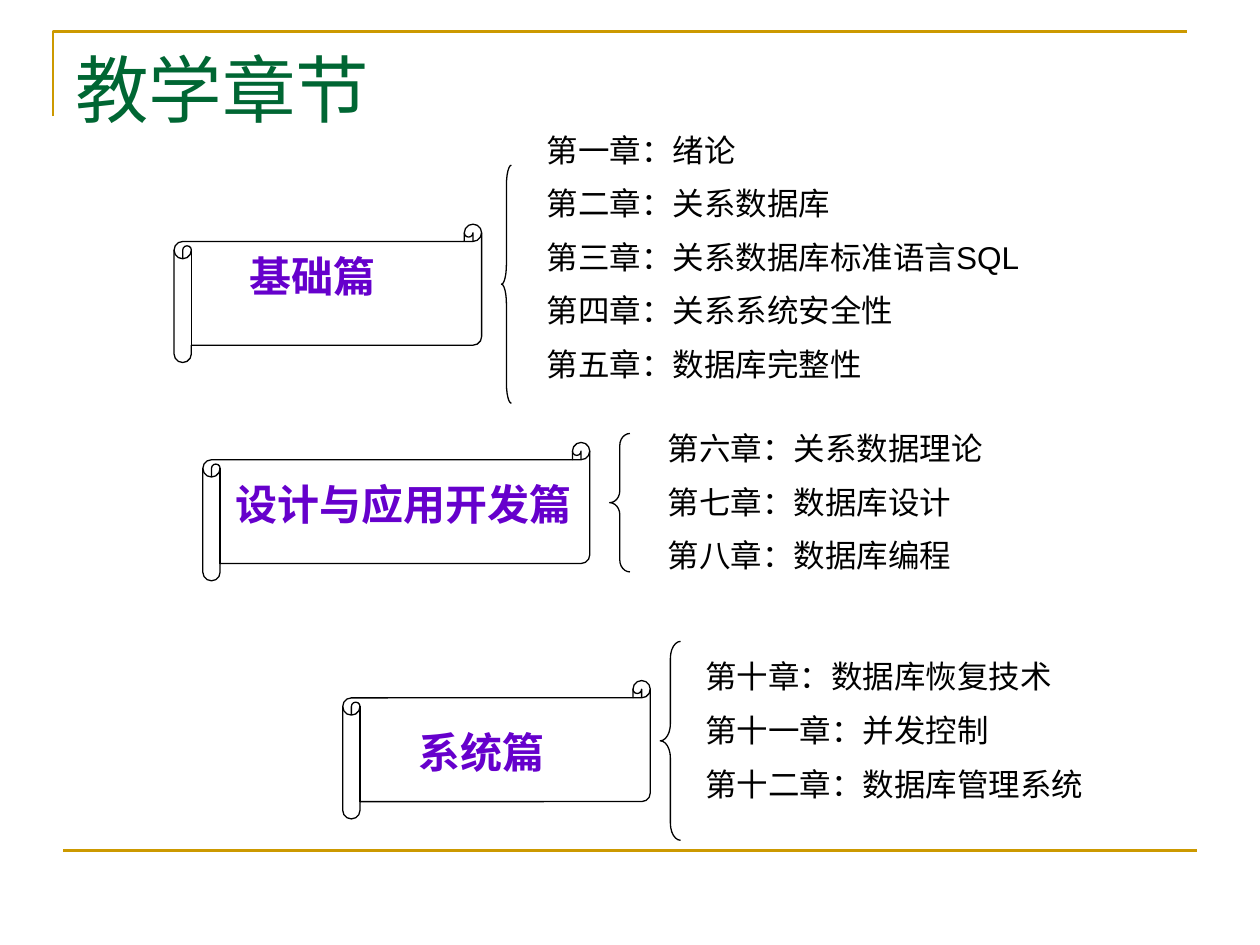
import pptx
import pptx.util
import pptx.dml.color
import pptx.enum.shapes
import pptx.enum.text
import pptx.oxml.ns
import lxml.etree

Cm = pptx.util.Cm
Pt = pptx.util.Pt
RGBColor = pptx.dml.color.RGBColor
MSO_SHAPE = pptx.enum.shapes.MSO_SHAPE
PP_ALIGN = pptx.enum.text.PP_ALIGN

GOLD = RGBColor(0xCC, 0x99, 0x00)
GREEN = RGBColor(0x00, 0x66, 0x33)
PURPLE = RGBColor(0x66, 0x00, 0xCC)
BLACK = RGBColor(0x00, 0x00, 0x00)

TITLE = "教学章节"
PARTS = [
    {
        "name": "基础篇", "align": PP_ALIGN.CENTER,
        "scroll": (3.51, 4.52, 6.2, 2.79), "label": (3.51, 4.93, 5.59, 1.27),
        "brace": (10.11, 3.33, 0.2, 4.8), "curve": 2.02,
        "list": (9.5, 2.51, 12.7, 5.61),
        "chapters": ["第一章：绪论", "第二章：关系数据库", "第三章：关系数据库标准语言SQL",
                     "第四章：关系系统安全性", "第五章：数据库完整性"],
    },
    {
        "name": "设计与应用开发篇", "align": PP_ALIGN.LEFT,
        "scroll": (4.09, 8.92, 7.8, 2.79), "label": (4.5, 9.53, 8.61, 1.27),
        "brace": (12.29, 8.74, 0.41, 2.79), "curve": 0.59,
        "list": (11.94, 8.53, 9.55, 3.3),
        "chapters": ["第六章：关系数据理论", "第七章：数据库设计", "第八章：数据库编程"],
    },
    {
        "name": "系统篇", "align": PP_ALIGN.CENTER,
        "scroll": (6.91, 13.72, 6.2, 2.79), "label": (6.91, 14.53, 5.59, 1.27),
        "brace": (13.31, 12.93, 0.41, 4.01), "curve": 0.84,
        "list": (12.7, 13.13, 10.59, 4.47),
        "chapters": ["第十章：数据库恢复技术", "第十一章：并发控制", "第十二章：数据库管理系统"],
    },
]


def add_outline(s, kind, box, adjustment):
    sp = s.shapes.add_shape(kind, *map(Cm, box))
    sp.adjustments[0] = adjustment
    sp.shadow.inherit = False
    sp.fill.background()
    sp.line.color.rgb = BLACK
    sp.line.width = Pt(0.75)


def add_text(s, box, lines, size, color, font="Arial", bold=False,
             align=PP_ALIGN.LEFT, indent=0.25, gap=0):
    tf = s.shapes.add_textbox(*map(Cm, box)).text_frame
    tf.word_wrap = True
    tf.margin_left = Cm(indent)
    tf.text = "\n".join(lines)
    for p in tf.paragraphs:
        p.alignment = align
        p.space_after = Pt(gap)
        for r in p.runs:
            r.font.name = font
            r.font.size = Pt(size)
            r.font.bold = bold
            r.font.color.rgb = color


def add_frame(s):
    builder = s.shapes.build_freeform(Cm(1.07), Cm(2.34))
    builder.add_line_segments([(Cm(1.07), Cm(0.64)), (Cm(23.93), Cm(0.64))], close=False)
    corner = builder.convert_to_shape()
    corner.shadow.inherit = False
    corner.fill.background()
    rule = s.shapes.add_connector(pptx.enum.shapes.MSO_CONNECTOR.STRAIGHT,
                                  Cm(1.27), Cm(17.15), Cm(24.13), Cm(17.15))
    lxml.etree.SubElement(rule._element.spPr, pptx.oxml.ns.qn("a:effectLst"))
    for sp in (corner, rule):
        sp.line.color.rgb = GOLD
        sp.line.width = Pt(1.5)


def main():
    prs = pptx.Presentation()
    prs.slide_width = Cm(25.4)
    prs.slide_height = Cm(19.05)
    s = prs.slides.add_slide(prs.slide_layouts[6])
    add_frame(s)
    add_text(s, (1.27, 0.76, 22.86, 3.18), [TITLE], 42, GREEN, font="Times New Roman")
    for part in PARTS:
        add_outline(s, MSO_SHAPE.HORIZONTAL_SCROLL, part["scroll"], 0.125)
        add_text(s, part["label"], [part["name"]], 24, PURPLE, bold=True, align=part["align"])
        add_outline(s, MSO_SHAPE.LEFT_BRACE, part["brace"], part["curve"])
        add_text(s, part["list"], part["chapters"], 18, BLACK, indent=1.52, gap=9)
    prs.save("out.pptx")


if __name__ == "__main__":
    main()
